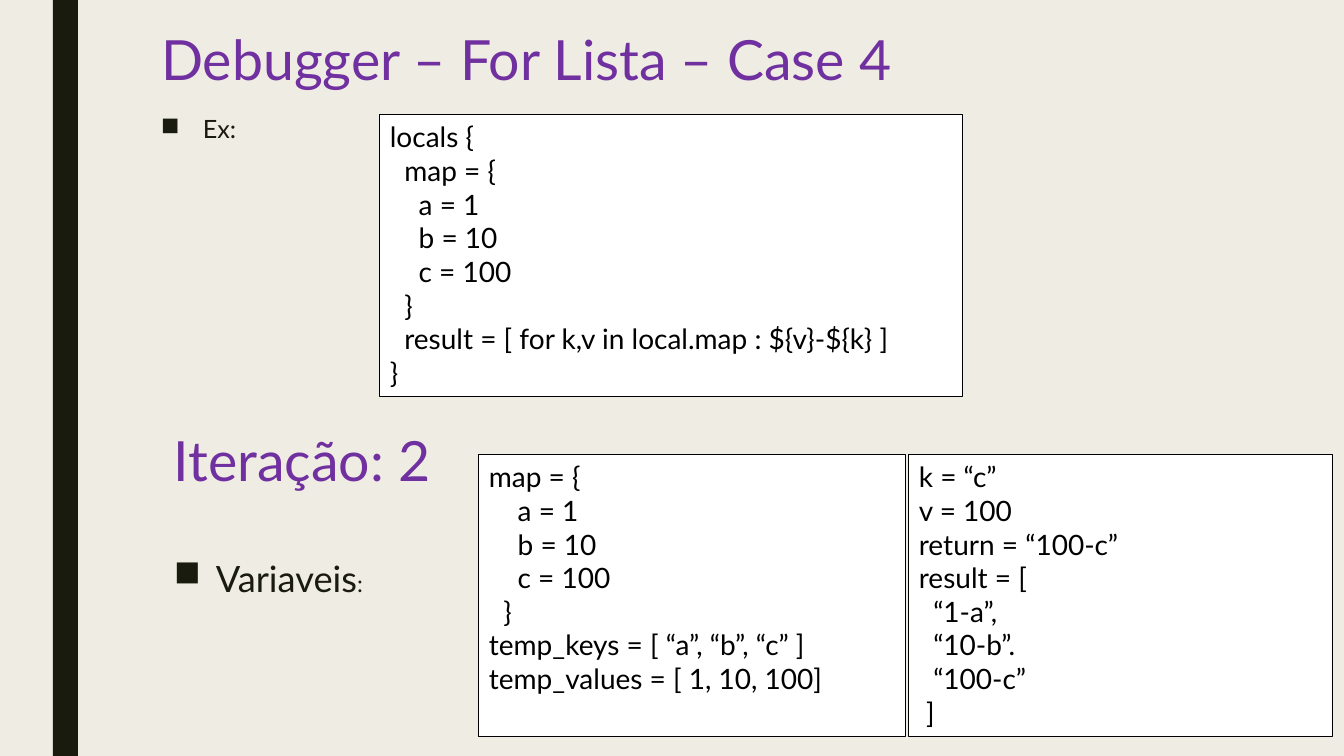
from lxml.etree import SubElement
from pptx import Presentation
from pptx.dml.color import RGBColor
from pptx.enum.shapes import MSO_SHAPE as Shape
from pptx.enum.text import MSO_ANCHOR as Anchor, MSO_AUTO_SIZE as Fit, PP_ALIGN as Align
from pptx.oxml.ns import qn
from pptx.util import Pt

PX = 914400 / 100.8
SPACE = 7.2  # width in pixels of one step of code indent
FONT = "Lato"
CREAM = RGBColor(0xEF, 0xED, 0xE3)
DARK = RGBColor(0x19, 0x1B, 0x0E)
PURPLE = RGBColor(0x70, 0x30, 0xA0)
WHITE = RGBColor(255, 255, 255)
BLACK = RGBColor(0, 0, 0)


def scale(*sizes):
    """Turn pixels into EMU."""
    return [round(size * PX) for size in sizes]


def style(para, sizes, color, left=0, hang=0):
    """Format the runs of a paragraph and set its indent."""
    para.alignment = Align.LEFT
    margin, first = scale(left, hang)
    props = para._p.get_or_add_pPr()
    props.set("marL", str(margin))
    props.set("indent", str(first))
    for run, size in zip(para.runs, sizes):
        run.font.name = FONT
        run.font.size = Pt(size)
        run.font.color.rgb = color


deck = Presentation()
deck.slide_width, deck.slide_height = scale(1344, 756)
slide = deck.slides.add_slide(deck.slide_layouts[5])
slide.background.fill.solid()
slide.background.fill.fore_color.rgb = CREAM
shapes = slide.shapes

bar = shapes.add_shape(Shape.RECTANGLE, *scale(53, 0, 25, 756))
bar.shadow.inherit = False
bar.fill.solid()
bar.fill.fore_color.rgb = DARK
bar.line.fill.background()

# Headings
title = shapes.title
title.left, title.top, title.width, title.height = scale(151, 28, 1058, 69)
step = shapes.add_textbox(*scale(164, 431, 1058, 69))
heads = [
    (title, "Debugger – For Lista – Case 4", 0.89),
    (step, "Iteração: 2", 0.79),
]
for head, text, spacing in heads:
    frame = head.text_frame
    frame.text = text
    frame.word_wrap = True
    frame.auto_size = Fit.NONE
    frame.vertical_anchor = Anchor.MIDDLE
    para = frame.paragraphs[0]
    para.line_spacing = spacing
    style(para, [39.6], PURPLE)

# Bulleted labels
labels = [
    ((151, 111, 120, 46), [("Ex:", 18)], 0.94),
    ((164, 562, 349, 46), [("Variaveis", 25.9), (":", 16.6)], 0.74),
]
for place, parts, spacing in labels:
    frame = shapes.add_textbox(*scale(*place)).text_frame
    frame.word_wrap = True
    para = frame.paragraphs[0]
    for text, size in parts:
        para.add_run().text = text
    para.line_spacing = spacing
    para.space_before, para.space_after = Pt(10), Pt(2)
    style(para, [size for text, size in parts], DARK, 42, -42)
    SubElement(para._p.get_or_add_pPr(), qn("a:buChar")).set("char", "■")

# Code boxes: each line is its indent in spaces and its text
values = [(4, "a = 1"), (4, "b = 10"), (4, "c = 100"), (2, "}")]
codes = [
    ((380, 115, 583, 282), [
        (0, "locals {"), (2, "map = {"), *values,
        (2, "result = [ for k,v in local.map : ${v}-${k} ]"), (0, "}"),
    ]),
    ((479, 455, 427, 282), [
        (0, "map = {"), *values,
        (0, "temp_keys = [ “a”, “b”, “c” ]"),
        (0, "temp_values = [ 1, 10, 100]"),
    ]),
    ((909, 455, 424, 282), [
        (0, "k = “c”"), (0, "v = 100"), (0, "return = “100-c”"),
        (0, "result = ["), (2, "“1-a”,"), (2, "“10-b”."),
        (2, "“100-c”"), (1, "]"),
    ]),
]
for place, lines in codes:
    box = shapes.add_shape(Shape.RECTANGLE, *scale(*place))
    box.shadow.inherit = False
    box.fill.solid()
    box.fill.fore_color.rgb = WHITE
    box.line.color.rgb = BLACK
    box.line.width = Pt(0.75)
    frame = box.text_frame
    frame.word_wrap = True
    frame.vertical_anchor = Anchor.TOP
    frame.text = "\n".join(text for depth, text in lines)
    for para, (depth, text) in zip(frame.paragraphs, lines):
        style(para, [20], BLACK, depth * SPACE)

deck.save("out.pptx")
